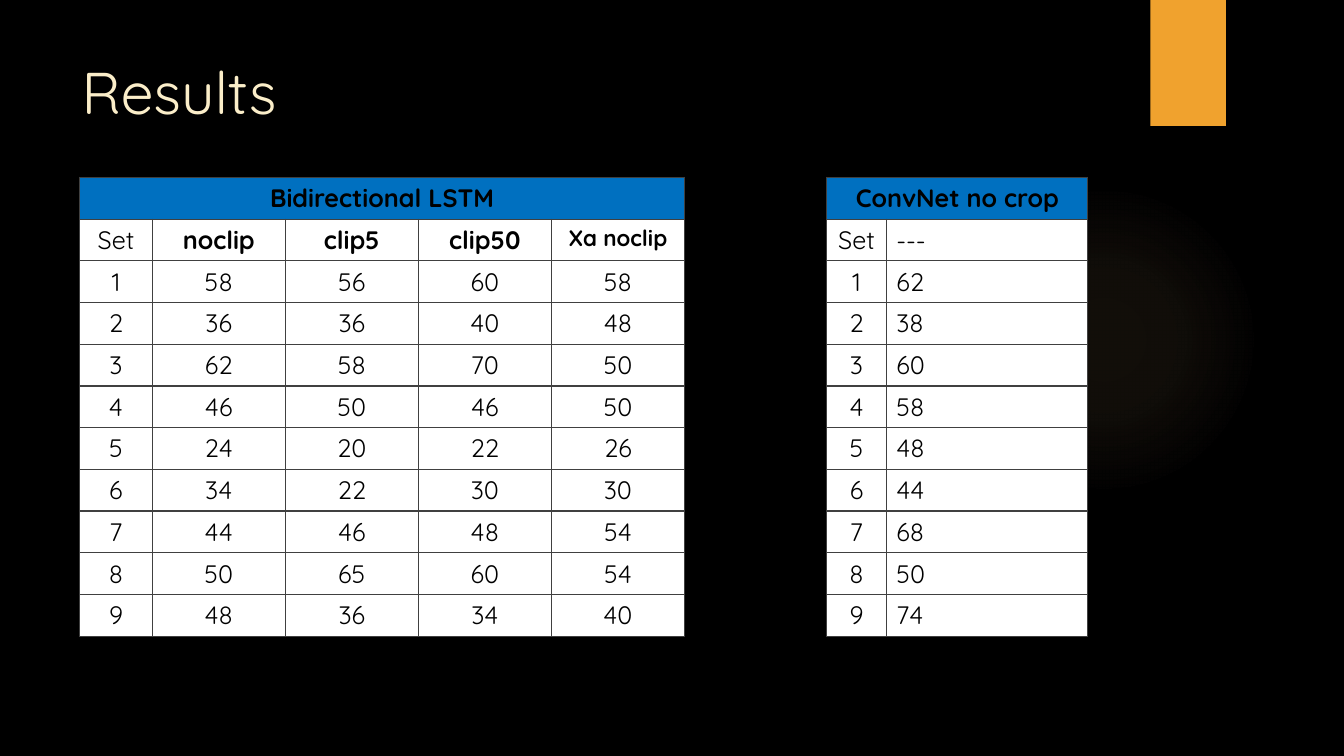
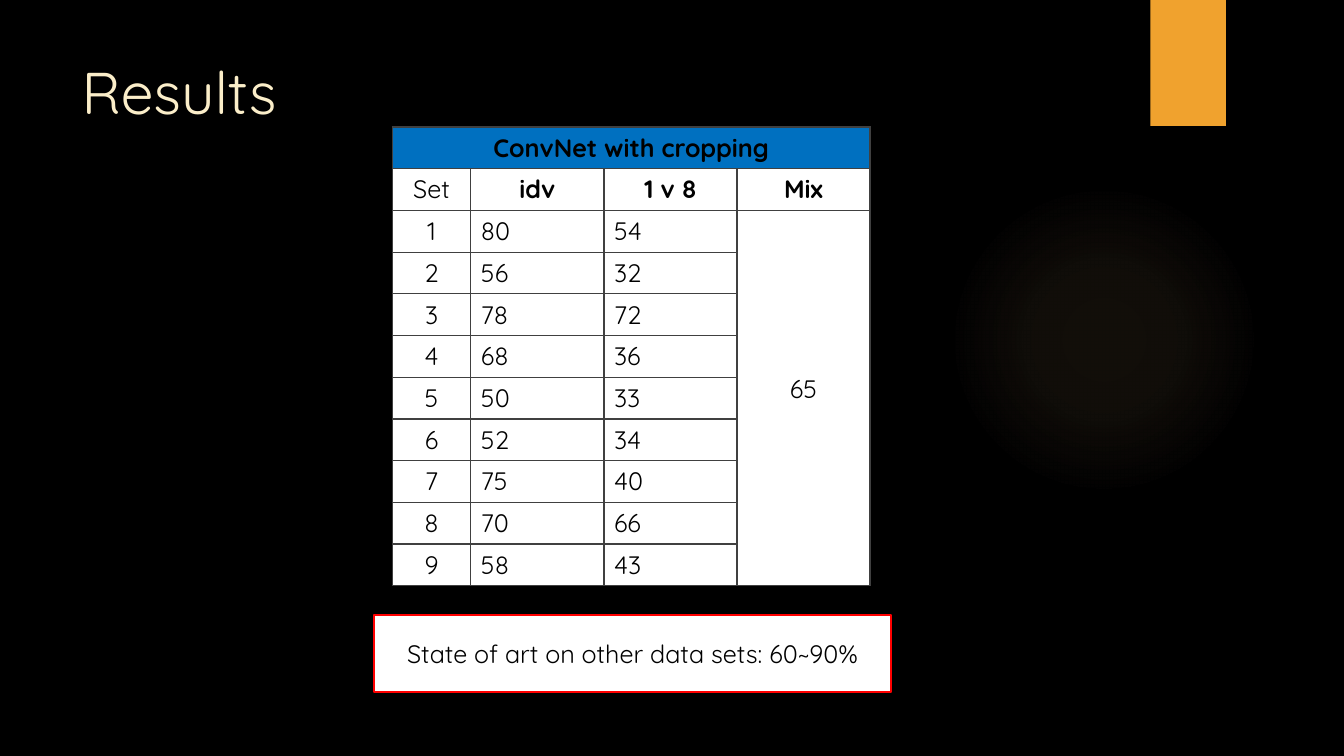
"""Build two result slides comparing classification scores per data set."""
from dataclasses import dataclass

from pptx import Presentation
from pptx.dml.color import RGBColor
from pptx.enum import shapes, text
from pptx.oxml import ns, parse_xml
from pptx.slide import Slide, SlideLayout
from pptx.table import _Cell
from pptx.util import Inches, Pt

COLORS = {
    "background": "000000", "title": "FBEEC9", "accent": "F0A22E",
    "glow": "F6C782", "header": "0070C0", "cell": "FFFFFF",
    "ink": "000000", "border": "404040", "alert": "FF0000",
}
FONT = "Quicksand"
BODY_SIZE = 18
ROW_HEIGHT = 0.41
SCORE_WIDTH = 1.32
DRAWING = ns.nsdecls("a")
CENTER, LEFT = text.PP_ALIGN.CENTER, text.PP_ALIGN.LEFT


@dataclass
class Column:
    heading: str
    width: float
    values: list[int]
    align: text.PP_ALIGN = CENTER
    heading_align: text.PP_ALIGN = CENTER
    bold: bool = True
    heading_size: int = BODY_SIZE


@dataclass
class ScoreTable:
    title: str
    left: float
    top: float
    columns: list[Column]


def set_column(width: float) -> Column:
    return Column("Set", width, list(range(1, 10)), bold=False)


RECURRENT = ScoreTable("Bidirectional LSTM", 0.79, 1.76, [
    set_column(0.72),
    Column("noclip", SCORE_WIDTH, [58, 36, 62, 46, 24, 34, 44, 50, 48]),
    Column("clip5", SCORE_WIDTH, [56, 36, 58, 50, 20, 22, 46, 65, 36]),
    Column("clip50", SCORE_WIDTH, [60, 40, 70, 46, 22, 30, 48, 60, 34]),
    Column("Xa noclip", SCORE_WIDTH, [58, 48, 50, 50, 26, 30, 54, 54, 40],
           heading_size=16),
])
UNCROPPED = ScoreTable("ConvNet no crop", 8.2, 1.76, [
    set_column(0.59),
    Column("---", 2, [62, 38, 60, 58, 48, 44, 68, 50, 74],
           align=LEFT, heading_align=LEFT, bold=False),
])
CROPPED = ScoreTable("ConvNet with cropping", 3.89, 1.26, [
    set_column(0.78),
    Column("idv", SCORE_WIDTH, [80, 56, 78, 68, 50, 52, 75, 70, 58], LEFT),
    Column("1 v 8", SCORE_WIDTH, [54, 32, 72, 36, 33, 34, 40, 66, 43], LEFT),
    Column("Mix", SCORE_WIDTH, [65]),
])


def rgb(name: str) -> RGBColor:
    return RGBColor.from_string(COLORS[name])


def write(frame, content: str, color: str = "ink", size: int = BODY_SIZE,
          align: text.PP_ALIGN = CENTER, bold: bool = False) -> None:
    frame.text = content
    para = frame.paragraphs[0]
    para.alignment = align
    font = para.font
    font.name, font.size, font.bold = FONT, Pt(size), bold
    font.color.rgb = rgb(color)


def add_plain_shape(page: Slide, kind: shapes.MSO_SHAPE, left: float, top: float,
                    width: float, height: float, fill: str):
    shape = page.shapes.add_shape(
        kind, Inches(left), Inches(top), Inches(width), Inches(height))
    shape.shadow.inherit = False
    shape.fill.solid()
    shape.fill.fore_color.rgb = rgb(fill)
    shape.line.fill.background()
    return shape


def decorate_layout(layout: SlideLayout, page: Slide) -> None:
    glow = add_plain_shape(page, shapes.MSO_SHAPE.OVAL, 9.41, 1.83, 3.08, 3.08, "glow")
    stops = "".join(
        f'<a:gs pos="{position * 1000}"><a:srgbClr val="{COLORS["glow"]}">'
        f'<a:alpha val="{alpha * 1000}"/></a:srgbClr></a:gs>'
        for position, alpha in ((0, 7), (36, 6), (69, 0), (100, 0)))
    gradient = parse_xml(
        f'<a:gradFill {DRAWING} rotWithShape="1"><a:gsLst>{stops}</a:gsLst>'
        '<a:path path="circle"><a:fillToRect l="50000" t="50000" r="50000" b="50000"/>'
        '</a:path></a:gradFill>')
    properties = glow.element.spPr
    properties.replace(properties.find(ns.qn("a:solidFill")), gradient)
    ribbon = add_plain_shape(page, shapes.MSO_SHAPE.RECTANGLE, 11.41, 0, 0.75, 1.25, "accent")
    for number, shape in enumerate((glow, ribbon), start=101):
        shape.element.xpath("p:nvSpPr/p:cNvPr")[0].set("id", str(number))
        layout.shapes.element.append(shape.element)


def add_page(deck, layout: SlideLayout, heading: str) -> Slide:
    page = deck.slides.add_slide(layout)
    title = page.shapes.title
    title.left, title.top = Inches(0.71), Inches(0.5)
    title.width, title.height = Inches(10.29), Inches(1.53)
    write(title.text_frame, heading, "title", 42, LEFT)
    title.text_frame.vertical_anchor = text.MSO_ANCHOR.TOP
    return page


def style_cell(cell: _Cell, fill: str) -> None:
    properties = cell._tc.get_or_add_tcPr()
    for side in ("lnL", "lnR", "lnT", "lnB"):
        properties.append(parse_xml(
            f'<a:{side} {DRAWING} w="{Pt(1)}"><a:solidFill>'
            f'<a:srgbClr val="{COLORS["border"]}"/></a:solidFill></a:{side}>'))
    cell.fill.solid()
    cell.fill.fore_color.rgb = rgb(fill)


def add_score_table(page: Slide, scores: ScoreTable) -> None:
    row_count = 2 + max(len(column.values) for column in scores.columns)
    width = sum(column.width for column in scores.columns)
    table = page.shapes.add_table(
        row_count, len(scores.columns), Inches(scores.left), Inches(scores.top),
        Inches(width), Inches(ROW_HEIGHT * row_count)).table
    table.first_row = table.horz_banding = False
    for row_index, row in enumerate(table.rows):
        row.height = Inches(ROW_HEIGHT)
        for cell in row.cells:
            style_cell(cell, "cell" if row_index else "header")
    table.cell(0, 0).merge(table.cell(0, len(scores.columns) - 1))
    write(table.cell(0, 0).text_frame, scores.title, bold=True)
    for index, column in enumerate(scores.columns):
        table.columns[index].width = Inches(column.width)
        write(table.cell(1, index).text_frame, column.heading, size=column.heading_size,
              align=column.heading_align, bold=column.bold)
        for row_index, value in enumerate(column.values, start=2):
            write(table.cell(row_index, index).text_frame, str(value), align=column.align)
        if len(column.values) == 1:
            shared = table.cell(2, index)
            shared.merge(table.cell(row_count - 1, index))
            shared.vertical_anchor = text.MSO_ANCHOR.MIDDLE
            shared.margin_bottom = Inches(0.23)


def add_note(page: Slide, content: str) -> None:
    box = add_plain_shape(page, shapes.MSO_SHAPE.RECTANGLE, 3.71, 6.1, 5.13, 0.77, "cell")
    box.line.color.rgb = rgb("alert")
    box.line.width = Pt(1.5)
    box.text_frame.vertical_anchor = text.MSO_ANCHOR.MIDDLE
    write(box.text_frame, content)


def main() -> None:
    deck = Presentation()
    deck.slide_width, deck.slide_height = Inches(13.33), Inches(7.5)
    background = deck.slide_master.background.fill
    background.solid()
    background.fore_color.rgb = rgb("background")
    layout = deck.slide_layouts.get_by_name("Title Only")

    comparison = add_page(deck, layout, "Results")
    decorate_layout(layout, comparison)
    add_score_table(comparison, RECURRENT)
    add_score_table(comparison, UNCROPPED)

    cropping = add_page(deck, layout, "Results")
    add_score_table(cropping, CROPPED)
    add_note(cropping, "State of art on other data sets: 60~90%")
    deck.save("out.pptx")


if __name__ == "__main__":
    main()
